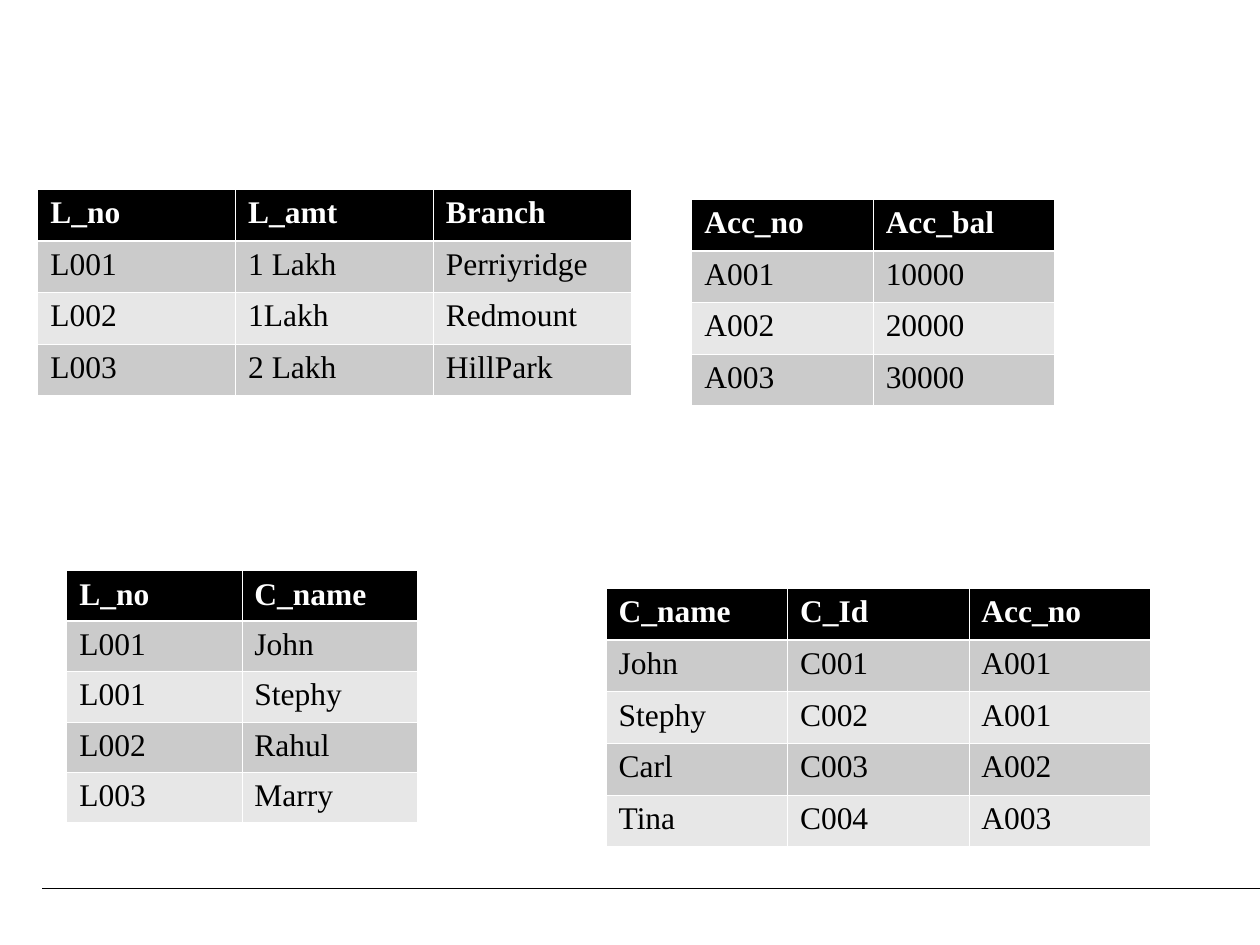
from lxml import etree
from pptx import Presentation
from pptx import util as u
from pptx.dml.color import RGBColor
from pptx.enum import shapes
from pptx.oxml import ns

COLORS = {
    "header": "000000",
    "odd_row": "CBCBCB",
    "even_row": "E7E7E7",
    "header_text": "FFFFFF",
    "body_text": "000000",
    "grid": "FFFFFF",
    "footer_rule": "000000",
}
FONT = "Times New Roman"
THIN, THICK = 0.45, 1.47

LOANS = [
    ["L_no", "L_amt", "Branch"],
    ["L001", "1 Lakh", "Perriyridge"],
    ["L002", "1Lakh", "Redmount"],
    ["L003", "2 Lakh", "HillPark"],
]
ACCOUNTS = [
    ["Acc_no", "Acc_bal"],
    ["A001", "10000"],
    ["A002", "20000"],
    ["A003", "30000"],
]
BORROWERS = [
    ["L_no", "C_name"],
    ["L001", "John"],
    ["L001", "Stephy"],
    ["L002", "Rahul"],
    ["L003", "Marry"],
]
DEPOSITORS = [
    ["C_name", "C_Id", "Acc_no"],
    ["John", "C001", "A001"],
    ["Stephy", "C002", "A001"],
    ["Carl", "C003", "A002"],
    ["Tina", "C004", "A003"],
]


def color(role):
    return RGBColor.from_string(COLORS[role])


def set_borders(cell, row):
    """Draw a thin grid, with a thick rule between header and body."""
    widths = {
        "lnL": THIN,
        "lnR": THIN,
        "lnT": THICK if row == 1 else THIN,
        "lnB": THICK if row == 0 else THIN,
    }
    properties = cell._tc.get_or_add_tcPr()
    for side, width in widths.items():
        border = etree.SubElement(properties, ns.qn(f"a:{side}"), w=str(u.Pt(width)))
        fill = etree.SubElement(border, ns.qn("a:solidFill"))
        etree.SubElement(fill, ns.qn("a:srgbClr"), val=COLORS["grid"])


def fill_cell(cell, value, row):
    set_borders(cell, row)
    band = "header" if row == 0 else "odd_row" if row % 2 else "even_row"
    cell.fill.solid()
    cell.fill.fore_color.rgb = color(band)
    cell.text_frame.text = value
    font = cell.text_frame.paragraphs[0].runs[0].font
    font.name, font.size, font.bold = FONT, u.Pt(18), row == 0
    font.color.rgb = color("header_text" if row == 0 else "body_text")


def add_relation(slide, records, left, top, column_width, row_height):
    """Add one database relation; lengths are in inches."""
    row_count, column_count = len(records), len(records[0])
    relation = slide.shapes.add_table(
        row_count, column_count, u.Inches(left), u.Inches(top),
        u.Inches(column_width * column_count), u.Inches(row_height * row_count),
    ).table
    for column in relation.columns:
        column.width = u.Inches(column_width)
    for row, record in enumerate(records):
        relation.rows[row].height = u.Inches(row_height)
        for column, value in enumerate(record):
            fill_cell(relation.cell(row, column), value, row)


def add_footer_rule(slide, start, end, height):
    rule = slide.shapes.add_connector(
        shapes.MSO_CONNECTOR.STRAIGHT,
        u.Inches(start), u.Inches(height), u.Inches(end), u.Inches(height),
    )
    rule.line.color.rgb = color("footer_rule")
    rule.line.width = u.Pt(0.75)
    etree.SubElement(rule._element.spPr, ns.qn("a:effectLst"))


def main():
    deck = Presentation()
    deck.slide_width, deck.slide_height = u.Inches(10), u.Inches(7.5)
    slide = deck.slides.add_slide(deck.slide_layouts[6])
    add_footer_rule(slide, 10.02, 0.33, 7.05)
    add_relation(slide, BORROWERS, 0.53, 4.53, 1.39, 0.4)
    add_relation(slide, DEPOSITORS, 4.81, 4.67, 1.44, 0.41)
    add_relation(slide, ACCOUNTS, 5.49, 1.58, 1.44, 0.41)
    add_relation(slide, LOANS, 0.3, 1.5, 1.57, 0.41)
    deck.save("out.pptx")


if __name__ == "__main__":
    main()
